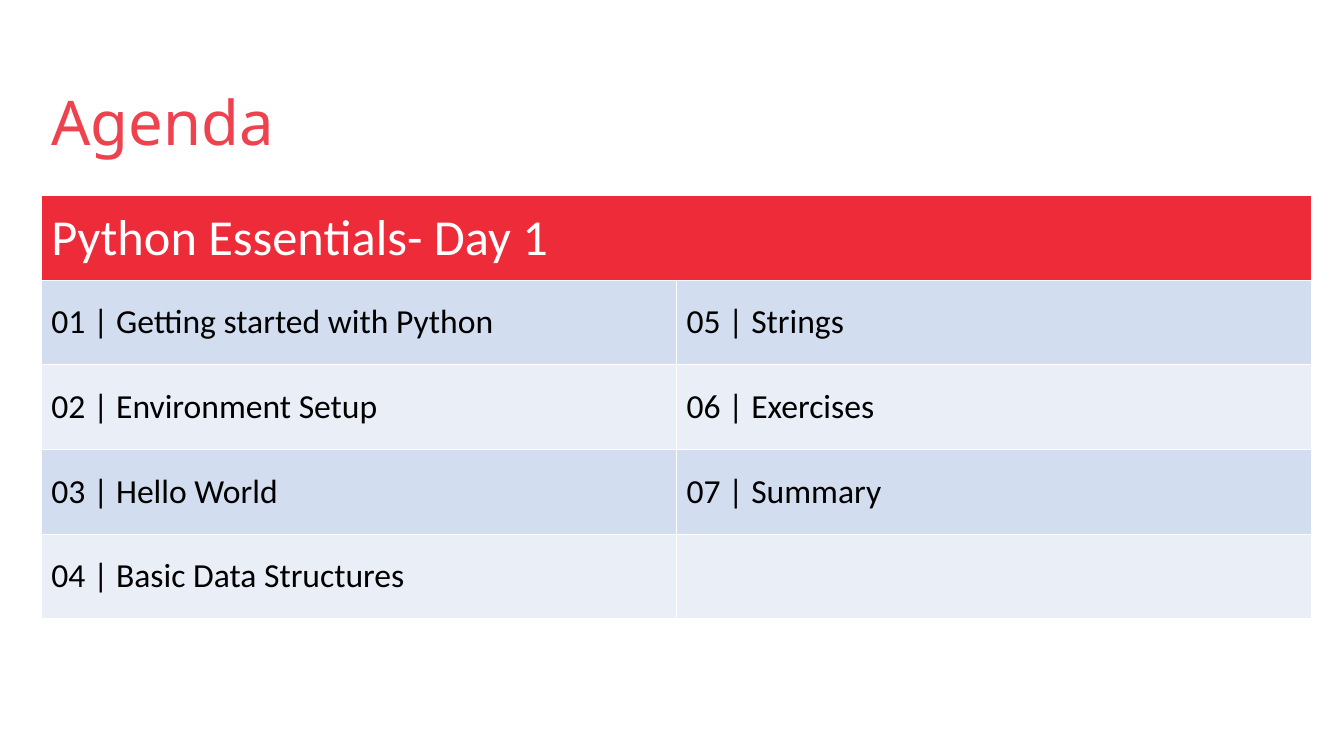
from pptx import Presentation
from pptx import util as u
from pptx.dml.color import RGBColor
from pptx.enum import text

HEADING = "Python Essentials- Day 1"
TOPICS = ["Getting started with Python", "Environment Setup", "Hello World",
          "Basic Data Structures", "Strings", "Exercises", "Summary"]
TOPIC_ROWS = 4
BANDS = ["D2DEEF", "EAEFF7"]


def paint(target, color):
    """Give a fill or font a solid hex colour."""
    if hasattr(target, "solid"):
        target.solid()
        target.fore_color.rgb = RGBColor.from_string(color)
    else:
        target.color.rgb = RGBColor.from_string(color)


def style(p, size, font, color):
    """Format a left-aligned paragraph."""
    p.alignment = text.PP_ALIGN.LEFT
    p.font.size = u.Pt(size)
    p.font.name = font
    paint(p.font, color)


def add_title(s, box, label):
    """Place the title at the bottom of its box."""
    sp = s.shapes.title
    sp.left, sp.top, sp.width, sp.height = map(u.Inches, box)
    tf = sp.text_frame
    tf.text = label
    tf.word_wrap = True
    tf.auto_size = text.MSO_AUTO_SIZE.NONE
    tf.vertical_anchor = text.MSO_ANCHOR.BOTTOM
    tf.margin_bottom = 0
    style(tf.paragraphs[0], 44, "Noto Sans", "EF424F")


def fill_cell(cell, label, size, color, fill):
    """Write and colour one table cell."""
    paint(cell.fill, fill)
    cell.vertical_anchor = text.MSO_ANCHOR.MIDDLE
    cell.text = label
    style(cell.text_frame.paragraphs[0], size, "Calibri", color)


def add_agenda(s, box):
    """Place the heading row and the numbered topics, column by column."""
    table = s.shapes.add_table(TOPIC_ROWS + 1, 2, *map(u.Inches, box)).table
    table.cell(0, 0).merge(table.cell(0, 1))
    fill_cell(table.cell(0, 0), HEADING, 36, "FFFFFF", "EE2B39")
    labels = [f"{n:02} | {topic}" for n, topic in enumerate(TOPICS, 1)]
    labels += [""] * (2 * TOPIC_ROWS - len(labels))
    for i, label in enumerate(labels):
        col, row = divmod(i, TOPIC_ROWS)
        fill_cell(table.cell(row + 1, col), label, 24, "000000", BANDS[row % 2])


prs = Presentation()
prs.slide_width, prs.slide_height = u.Inches(13.33), u.Inches(7.5)
s = prs.slides.add_slide(prs.slide_layouts[5])
add_title(s, (0.41, 0.2, 12.6, 1.37), "Agenda")
add_agenda(s, (0.41, 1.94, 12.6, 4.2))
prs.save("out.pptx")
